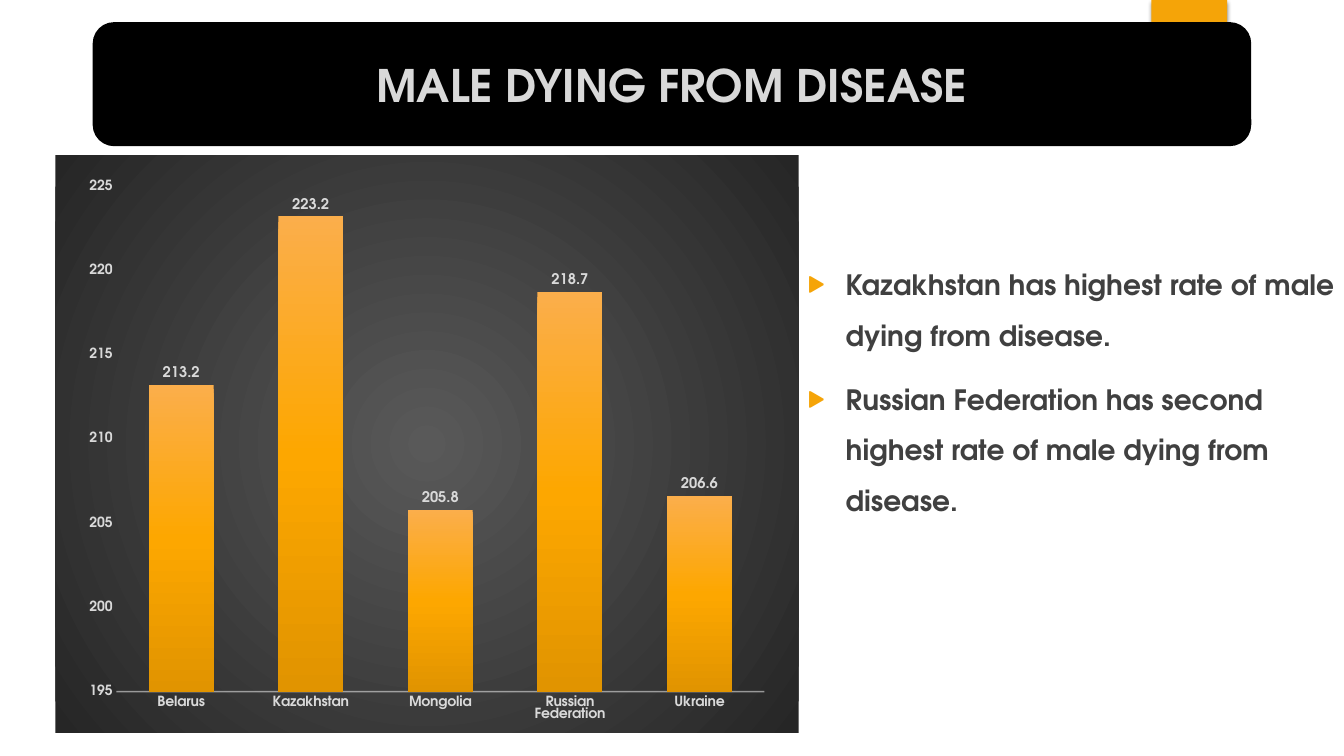
from lxml import etree
from pptx import Presentation
from pptx import util as u
from pptx.chart.data import CategoryChartData
from pptx.dml.color import RGBColor
from pptx.enum import chart as charts, shapes, text
from pptx.oxml import parse_xml
from pptx.oxml.ns import nsdecls, qn

FONT = "TeX Gyre Adventor"
COLORS = {
    "accent": "F5A408", "banner": "000000", "light": "D9D9D9", "body": "404040",
    "axis": "F2F2F2", "bar_top": "FBAE4B", "bar_middle": "FDA700",
    "bar_foot": "E19400", "panel_centre": "595959", "panel_edge": "262626",
}
MALE_DEATHS = {
    "Belarus": 213.2, "Kazakhstan": 223.2, "Mongolia": 205.8,
    "Russian Federation": 218.7, "Ukraine": 206.6,
}
FINDINGS = [
    "Kazakhstan has highest rate of male dying from disease.",
    "Russian Federation has second highest rate of male dying from disease.",
]


def color(name):
    """Return a named colour."""
    return RGBColor.from_string(COLORS[name])


def inches(*lengths):
    """Convert several lengths from inches."""
    return [u.Inches(length) for length in lengths]


def style_font(font, size, name):
    """Set the bold slide font in a size and colour."""
    font.name, font.size, font.bold = FONT, u.Pt(size), True
    font.color.rgb = color(name)


def gradient(names, shading):
    """Return a gradient fill with evenly spaced stops."""
    step = 100000 // (len(names) - 1)
    stops = "".join(
        f'<a:gs pos="{i * step}"><a:srgbClr val="{COLORS[name]}"/></a:gs>'
        for i, name in enumerate(names))
    return parse_xml(f'<a:gradFill {nsdecls("a")} rotWithShape="1">'
                     f'<a:gsLst>{stops}</a:gsLst>{shading}</a:gradFill>')


def add_block(page, kind, place, fill):
    """Add a filled shape without outline or theme shadow."""
    block = page.shapes.add_shape(kind, *inches(*place))
    block.shadow.inherit = False
    block.fill.solid()
    block.fill.fore_color.rgb = color(fill)
    block.line.fill.background()
    return block


def add_tab(page):
    """Add the accent tab at the top edge with its soft shadow."""
    tab = add_block(page, shapes.MSO_SHAPE.RECTANGLE, (11.42, 0, 0.75, 1.25), "accent")
    effects = tab._element.spPr.find(qn("a:effectLst"))
    effects.append(parse_xml(
        f'<a:outerShdw {nsdecls("a")} blurRad="{u.Pt(3)}" dist="{u.Pt(2)}" dir="5400000">'
        '<a:srgbClr val="000000"><a:alpha val="45000"/></a:srgbClr></a:outerShdw>'))


def add_banner(page, title):
    """Add the rounded title banner."""
    banner = add_block(page, shapes.MSO_SHAPE.ROUNDED_RECTANGLE,
                       (0.93, 0.23, 11.47, 1.21), "banner")
    banner.line.color.rgb = color("banner")
    banner.line.width = u.Pt(1.5)
    banner.text_frame.vertical_anchor = text.MSO_ANCHOR.MIDDLE
    para = banner.text_frame.paragraphs[0]
    para.text = title
    para.alignment = text.PP_ALIGN.CENTER
    style_font(para.font, 32, "light")


def style_axes(chart):
    """Set the scale, labels and lines of both axes."""
    for axis in (chart.category_axis, chart.value_axis):
        axis.has_major_gridlines = False
        axis.major_tick_mark = axis.minor_tick_mark = charts.XL_TICK_MARK.NONE
        style_font(axis.tick_labels.font, 10, "light")
    values = chart.value_axis
    values.minimum_scale, values.maximum_scale, values.major_unit = 195, 225, 5
    values.format.line.fill.background()
    line = chart.category_axis.format.line
    line.width = u.Pt(1)
    line.color.rgb = color("axis")
    tint = next(chart.category_axis._element.find(qn("c:spPr")).iter(qn("a:srgbClr")))
    etree.SubElement(tint, qn("a:alpha")).set("val", "54000")


def style_bars(chart):
    """Set the bars, their gradient and their value labels."""
    plot = chart.plots[0]
    plot.gap_width, plot.overlap, plot.vary_by_categories = 100, -24, False
    series = plot.series[0]
    series.format.fill.solid()
    solid = series._element.find(qn("c:spPr")).find(qn("a:solidFill"))
    solid.getparent().replace(solid, gradient(
        ["bar_top", "bar_middle", "bar_foot"], '<a:lin ang="5400000" scaled="0"/>'))
    labels = series.data_labels
    labels.show_value = True
    labels.position = charts.XL_LABEL_POSITION.OUTSIDE_END
    style_font(labels.font, 10.5, "light")


def style_panel(chart):
    """Give the chart its radial background and fixed plot area."""
    panel = parse_xml(f'<c:spPr {nsdecls("c", "a")}><a:ln><a:noFill/></a:ln></c:spPr>')
    panel.insert(0, gradient(
        ["panel_centre", "panel_edge"],
        '<a:path path="circle"><a:fillToRect l="50000" t="50000" r="50000" b="50000"/></a:path>'))
    chart._chartSpace.find(qn("c:chart")).addnext(panel)
    area = chart._chartSpace.find(qn("c:chart")).find(qn("c:plotArea"))
    for old in area.findall(qn("c:layout")):
        area.remove(old)
    places = "".join(f'<c:{key} val="{share}"/>' for key, share in
                     zip("xywh", (0.082, 0.053, 0.872, 0.876)))
    area.insert(0, parse_xml(
        f'<c:layout {nsdecls("c")}><c:manualLayout><c:layoutTarget val="inner"/>'
        f'<c:xMode val="edge"/><c:yMode val="edge"/>{places}</c:manualLayout></c:layout>'))


def add_column_chart(page, rates):
    """Add the column chart of rates by country."""
    data = CategoryChartData()
    data.categories = list(rates)
    data.add_series("Series 1", list(rates.values()))
    chart = page.shapes.add_chart(charts.XL_CHART_TYPE.COLUMN_CLUSTERED,
                                  *inches(0.55, 1.54, 7.37, 5.73), data).chart
    chart.has_title = chart.has_legend = False
    chart.font.name, chart.font.size = FONT, u.Pt(10)
    style_axes(chart)
    style_bars(chart)
    style_panel(chart)


def add_bullet(para):
    """Give a paragraph a hanging arrow bullet."""
    props = para._p.get_or_add_pPr()
    indent = u.Inches(0.38)
    props.set("marL", str(indent))
    props.set("indent", str(-indent))
    for xml in (f'<a:buClr {nsdecls("a")}><a:srgbClr val="{COLORS["accent"]}"/></a:buClr>',
                f'<a:buSzPct {nsdecls("a")} val="80000"/>',
                f'<a:buFont {nsdecls("a")} typeface="{FONT}"/>',
                f'<a:buChar {nsdecls("a")} char="▶"/>'):
        props.insert_element_before(parse_xml(xml), "a:tabLst", "a:defRPr", "a:extLst")


def add_findings(page, findings):
    """Add the bulleted findings beside the chart."""
    box = page.shapes.add_textbox(*inches(7.91, 2.44, 5.59, 3.02))
    frame = box.text_frame
    frame.word_wrap = True
    for i, finding in enumerate(findings):
        para = frame.add_paragraph() if i else frame.paragraphs[0]
        para.text = finding
        para.line_spacing, para.space_before = 1.5, u.Pt(10)
        style_font(para.font, 20, "body")
        add_bullet(para)


def main():
    """Build the slide and save it."""
    deck = Presentation()
    deck.slide_width, deck.slide_height = inches(13.33, 7.5)
    page = deck.slides.add_slide(deck.slide_layouts[6])
    add_tab(page)
    add_column_chart(page, MALE_DEATHS)
    add_findings(page, FINDINGS)
    add_banner(page, "MALE DYING FROM DISEASE")
    deck.save("out.pptx")


main()
